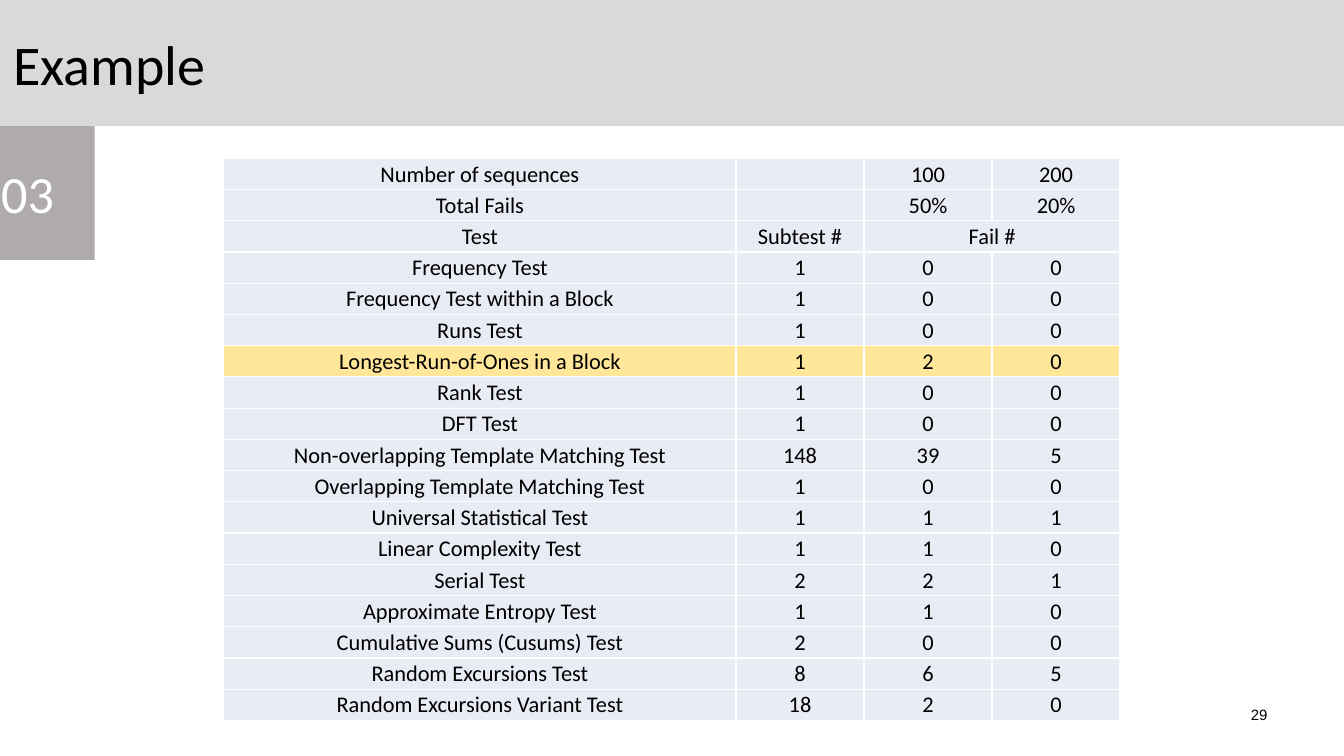
import lxml.etree
import pptx
import pptx.dml.color
import pptx.enum.shapes
import pptx.enum.text
import pptx.oxml.ns
import pptx.util

Inches = pptx.util.Inches
Align = pptx.enum.text.PP_ALIGN
Anchor = pptx.enum.text.MSO_ANCHOR

BLACK, WHITE = "000000", "FFFFFF"
CELL_FILL, HIGHLIGHT_FILL = "E9EBF5", "FFE699"
CELL_SIZE = 16
HIGHLIGHTED_TEST = "Longest-Run-of-Ones in a Block"
COLUMN_WIDTHS = (5.08, 1.27, 1.27, 1.27)
ROW_HEIGHT = 0.31
FAIL_HEADER_ROW = 2
RESULTS = (
    ("Number of sequences", "", "100", "200"),
    ("Total Fails", "", "50%", "20%"),
    ("Test", "Subtest #", "Fail #", ""),
    ("Frequency Test", "1", "0", "0"),
    ("Frequency Test within a Block", "1", "0", "0"),
    ("Runs Test", "1", "0", "0"),
    (HIGHLIGHTED_TEST, "1", "2", "0"),
    ("Rank Test", "1", "0", "0"),
    ("DFT Test", "1", "0", "0"),
    ("Non-overlapping Template Matching Test", "148", "39", "5"),
    ("Overlapping Template Matching Test", "1", "0", "0"),
    ("Universal Statistical Test", "1", "1", "1"),
    ("Linear Complexity Test", "1", "1", "0"),
    ("Serial Test", "2", "2", "1"),
    ("Approximate Entropy Test", "1", "1", "0"),
    ("Cumulative Sums (Cusums) Test", "2", "0", "0"),
    ("Random Excursions Test", "8", "6", "5"),
    ("Random Excursions Variant Test", "18", "2", "0"),
)


def color(value):
    """Turn a hex string into a colour."""
    return pptx.dml.color.RGBColor.from_string(value)


def add_element(parent, tag, **attributes):
    """Append a DrawingML element."""
    return lxml.etree.SubElement(parent, pptx.oxml.ns.qn(tag), attributes)


def write_text(frame, text, size, ink, alignment, font="Calibri"):
    """Write one run into the first paragraph of a text frame."""
    paragraph = frame.paragraphs[0]
    paragraph.alignment = alignment
    run = paragraph.add_run()
    run.text = text
    run.font.name = font
    run.font.size = pptx.util.Pt(size)
    run.font.color.rgb = color(ink)


def set_margins(target, left, top, right, bottom):
    """Set the inner margins of a text frame or a table cell."""
    target.margin_left, target.margin_top = Inches(left), Inches(top)
    target.margin_right, target.margin_bottom = Inches(right), Inches(bottom)


def add_block(slide, box, fill, text, size, ink, alignment, margin):
    """Add a plain rectangle with vertically centred text."""
    shape = slide.shapes.add_shape(
        pptx.enum.shapes.MSO_SHAPE.RECTANGLE, *map(Inches, box))
    shape.shadow.inherit = False
    shape.fill.solid()
    shape.fill.fore_color.rgb = color(fill)
    shape.line.fill.background()
    frame = shape.text_frame
    frame.vertical_anchor = Anchor.MIDDLE
    set_margins(frame, margin, margin, margin, margin)
    write_text(frame, text, size, ink, alignment)


def add_page_number(slide, text):
    """Add the slide number at the bottom right."""
    box = slide.shapes.add_textbox(*map(Inches, (9.56, 6.95, 3.11, 0.4)))
    box.text_frame.word_wrap = True
    write_text(box.text_frame, text, 10.7, BLACK, Align.RIGHT, "Arial")


def format_cell(cell, text, fill):
    """Set the borders, fill and text of a table cell."""
    properties = cell._tc.get_or_add_tcPr()
    for side in ("a:lnL", "a:lnR", "a:lnT", "a:lnB"):
        line = add_element(properties, side, w=str(pptx.util.Pt(1)))
        add_element(add_element(line, "a:solidFill"), "a:srgbClr", val=WHITE)
    cell.fill.solid()
    cell.fill.fore_color.rgb = color(fill)
    cell.vertical_anchor = Anchor.MIDDLE
    set_margins(cell, 0.01, 0.01, 0.01, 0)
    if text:
        write_text(cell.text_frame, text, CELL_SIZE, BLACK, Align.CENTER)
    else:
        add_element(cell.text_frame.paragraphs[0]._p, "a:endParaRPr",
                    sz=str(CELL_SIZE * 100))


def add_results_table(slide):
    """Add the table of test results."""
    table = slide.shapes.add_table(
        len(RESULTS), len(COLUMN_WIDTHS), Inches(2.22), Inches(1.57),
        Inches(sum(COLUMN_WIDTHS)), Inches(ROW_HEIGHT * len(RESULTS))).table
    table.first_row = table.horz_banding = False
    for column, width in zip(table.columns, COLUMN_WIDTHS):
        column.width = Inches(width)
    for row, values in zip(table.rows, RESULTS):
        row.height = Inches(ROW_HEIGHT)
        fill = HIGHLIGHT_FILL if values[0] == HIGHLIGHTED_TEST else CELL_FILL
        for cell, text in zip(row.cells, values):
            format_cell(cell, text, fill)
    table.cell(FAIL_HEADER_ROW, 2).merge(table.cell(FAIL_HEADER_ROW, 3))


def main():
    """Build the slide and save it."""
    presentation = pptx.Presentation()
    presentation.slide_width = Inches(13.33)
    presentation.slide_height = Inches(7.5)
    slide = presentation.slides.add_slide(presentation.slide_layouts[6])
    add_block(slide, (-0.39, 1.25, 1.33, 1.33), "AFABAB", "03", 37.3, WHITE,
              Align.CENTER, 0.1)
    add_block(slide, (0, 0, 13.33, 1.25), "D9D9D9", "Example", 40, BLACK,
              Align.LEFT, 0.13)
    add_page_number(slide, "29")
    add_results_table(slide)
    presentation.save("out.pptx")


if __name__ == "__main__":
    main()
